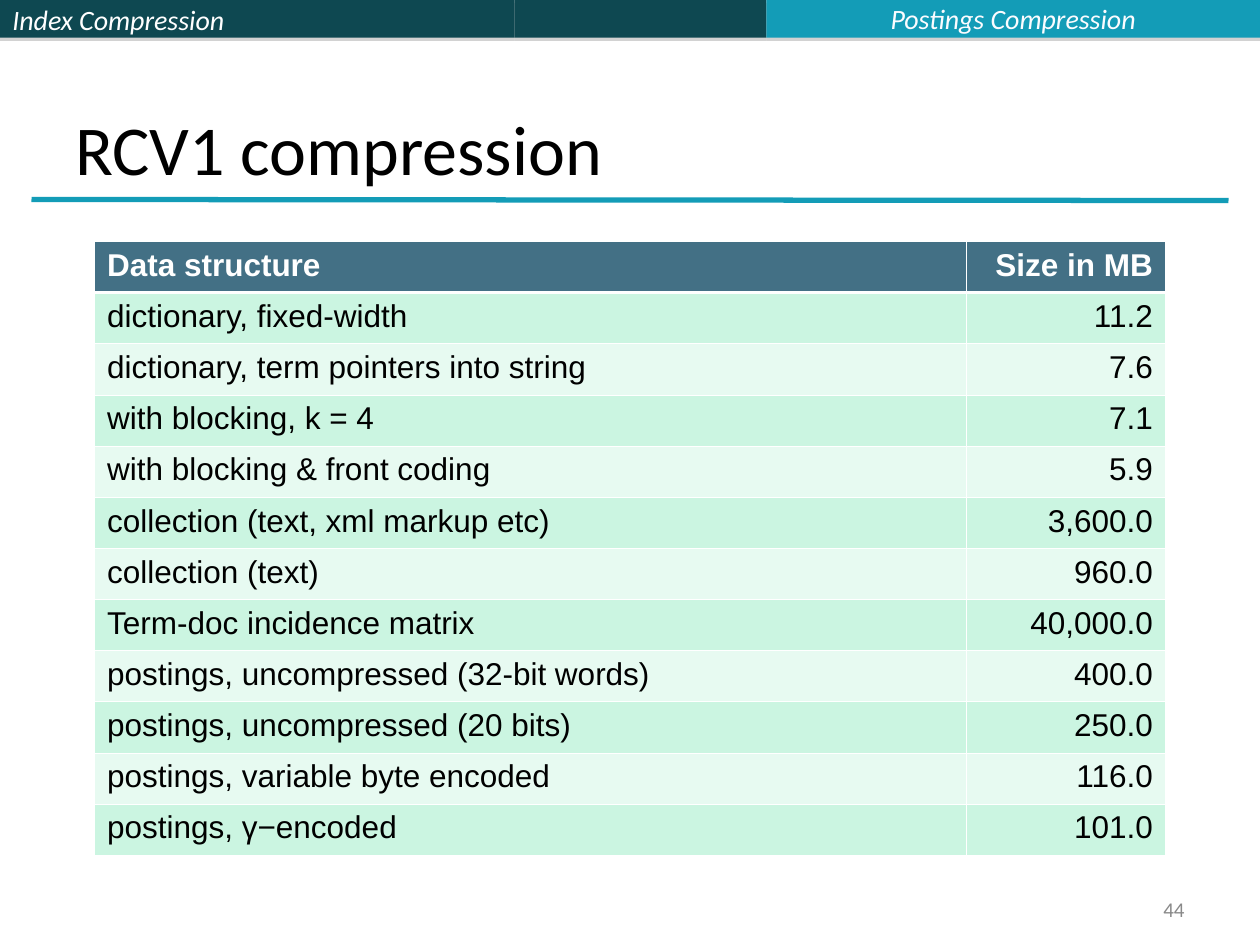
from dataclasses import dataclass

from lxml.etree import SubElement
from pptx import Presentation
from pptx.dml.color import RGBColor
from pptx.enum.shapes import MSO_CONNECTOR, MSO_SHAPE
from pptx.enum.text import MSO_ANCHOR as Anchor, PP_ALIGN as Align
from pptx.oxml.ns import qn
from pptx.util import Pt


@dataclass(frozen=True)
class Theme:
    dark: str = "0E4851"
    accent: str = "139CB7"
    shadow: str = "808080"
    white: str = "FFFFFF"
    section: str = "FBFCFF"
    black: str = "000000"
    muted: str = "898989"
    header: str = "437085"
    bands: tuple = ("CBF5E1", "E7FAF1")
    heading_font: str = "Calibri"
    table_font: str = "Arial"
    title_size: int = 40
    table_size: int = 18
    bar_size: int = 16
    number_size: int = 12


THEME = Theme()
HEADINGS = ("Data structure", "Size in MB")
SIZES = (
    ("dictionary, fixed-width", "11.2"),
    ("dictionary, term pointers into string", "7.6"),
    ("with blocking, k = 4", "7.1"),
    ("with blocking & front coding", "5.9"),
    ("collection (text, xml markup etc)", "3,600.0"),
    ("collection (text)", "960.0"),
    ("Term-doc incidence matrix", "40,000.0"),
    ("postings, uncompressed (32-bit words)", "400.0"),
    ("postings, uncompressed (20 bits)", "250.0"),
    ("postings, variable byte encoded", "116.0"),
    ("postings, γ−encoded", "101.0"),
)


def rgb(color):
    return RGBColor.from_string(color)


def write(frame, text, size, color, align=Align.LEFT, font=THEME.heading_font, **style):
    paragraph = frame.paragraphs[0]
    paragraph.alignment = align
    run = paragraph.add_run()
    run.text = text
    run.font.color.rgb = rgb(color)
    for name, value in {"name": font, "size": Pt(size), **style}.items():
        setattr(run.font, name, value)


def add_label(slide, box, text, size, color, anchor=Anchor.MIDDLE, **style):
    frame = slide.shapes.add_textbox(*map(Pt, box)).text_frame
    frame.word_wrap = True
    frame.vertical_anchor = anchor
    write(frame, text, size, color, **style)


def add_shadow(shape):
    """Give the shape a hard shadow just below it."""
    effects = SubElement(shape._element.spPr, qn("a:effectLst"))
    shadow = SubElement(effects, qn("a:outerShdw"), blurRad="0",
                        dist=str(Pt(1.8)), dir="5400000", rotWithShape="0")
    color = SubElement(shadow, qn("a:srgbClr"), val=THEME.shadow)
    SubElement(color, qn("a:alpha"), val="35000")


def add_navigation_bar(slide, box):
    left, top, width, height = box
    edges = (0, 294, 438, width)
    fills = (THEME.dark, THEME.dark, THEME.accent)
    segments = []
    for start, end, fill in zip(edges, edges[1:], fills):
        segment = slide.shapes.add_shape(
            MSO_SHAPE.RECTANGLE, Pt(left + start), Pt(top), Pt(end - start), Pt(height))
        segment.fill.solid()
        segment.fill.fore_color.rgb = rgb(fill)
        segment.line.fill.background()
        add_shadow(segment)
        segments.append(segment)
    chapter = segments[0].text_frame
    chapter.vertical_anchor = Anchor.MIDDLE
    write(chapter, "Index Compression", THEME.bar_size, THEME.white, italic=True)
    section_box = (left + edges[2], top - 2.9, width - edges[2], 26.6)
    add_label(slide, section_box, "Postings Compression", THEME.bar_size,
              THEME.section, align=Align.CENTER, italic=True)


def add_title(slide, box):
    left, top, width, height = box
    add_label(slide, box, "RCV1 compression", THEME.title_size, THEME.black,
              anchor=Anchor.BOTTOM)
    overhang, rule_top = 18, top + height + 2.4
    rule = slide.shapes.add_connector(
        MSO_CONNECTOR.STRAIGHT, Pt(left - overhang), Pt(rule_top),
        Pt(left + width + overhang), Pt(rule_top + 0.6))
    rule.line.color.rgb = rgb(THEME.accent)
    rule.line.width = Pt(3)
    SubElement(rule._element.spPr, qn("a:effectLst"))


def add_border(cell, side, width):
    line = SubElement(cell._tc.get_or_add_tcPr(), qn(f"a:ln{side}"), w=str(Pt(width)))
    fill = SubElement(line, qn("a:solidFill"))
    SubElement(fill, qn("a:srgbClr"), val=THEME.white)


def fill_cell(cell, text, row, align):
    is_header = row == 0
    thick = {0: "B", 1: "T"}.get(row)
    for side in "LRTB":
        add_border(cell, side, 1.47 if side == thick else 0.45)
    cell.fill.solid()
    cell.fill.fore_color.rgb = rgb(THEME.header if is_header else THEME.bands[(row - 1) % 2])
    write(cell.text_frame, text, THEME.table_size,
          THEME.white if is_header else THEME.black,
          align=align, font=THEME.table_font, bold=is_header)


def add_size_table(slide, box):
    rows = (HEADINGS, *SIZES)
    table = slide.shapes.add_table(len(rows), len(HEADINGS), *map(Pt, box)).table
    size_width = 114
    for column, width in zip(table.columns, (box[2] - size_width, size_width)):
        column.width = Pt(width)
    for index, values in enumerate(rows):
        table.rows[index].height = Pt(box[3] / len(rows))
        for cell, text, align in zip(table.rows[index].cells, values,
                                     (Align.LEFT, Align.RIGHT)):
            fill_cell(cell, text, index, align)


def main():
    deck = Presentation()
    deck.slide_width, deck.slide_height = Pt(720), Pt(540)
    slide = deck.slides.add_slide(deck.slide_layouts[6])
    add_navigation_bar(slide, (0, 0, 720, 21.6))
    add_title(slide, (36, 21.6, 648, 90))
    add_size_table(slide, (54, 138, 612, 351))
    add_label(slide, (516, 510, 168, 19.2), "44", THEME.number_size, THEME.muted,
              align=Align.RIGHT)
    deck.save("out.pptx")


if __name__ == "__main__":
    main()
